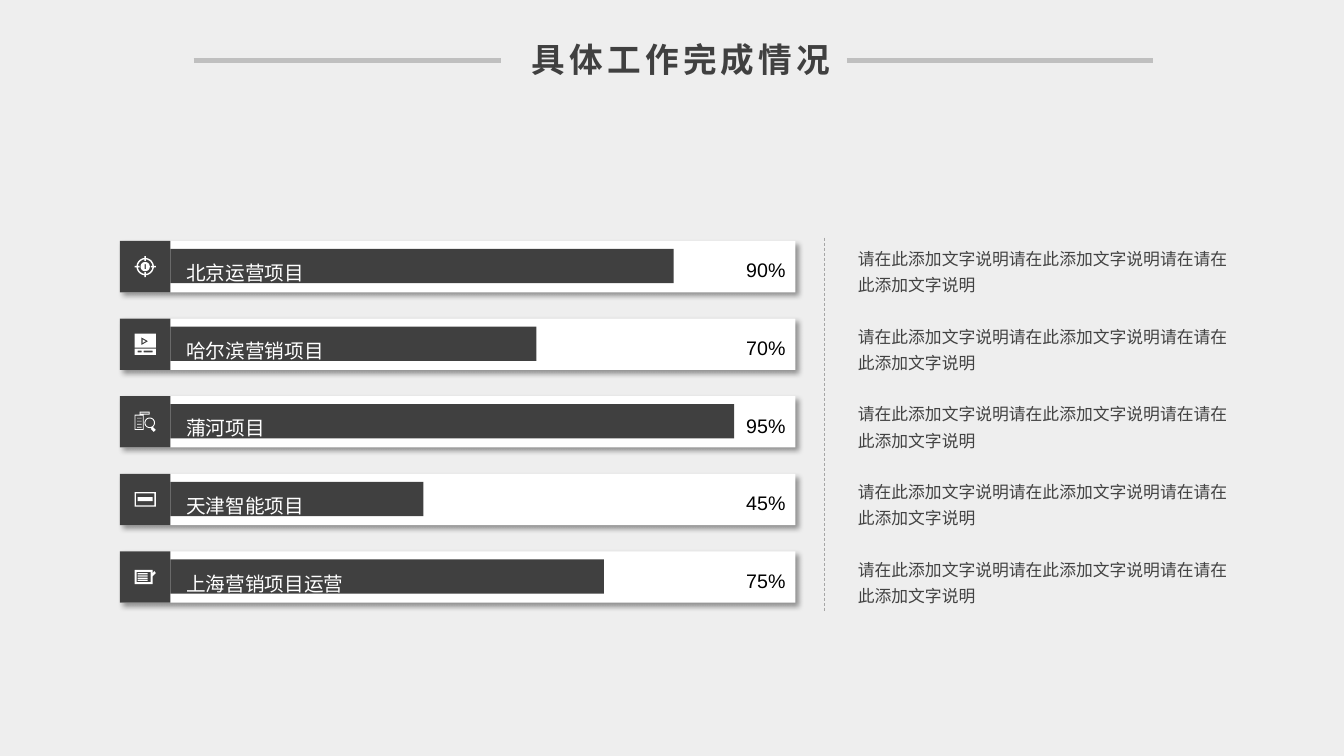
import math
import lxml.etree
import pptx
import pptx.dml.color
import pptx.enum.dml
import pptx.enum.shapes
import pptx.enum.text
import pptx.oxml.ns
import pptx.util

Inches, Pt = pptx.util.Inches, pptx.util.Pt
qn = pptx.oxml.ns.qn
ALIGN = pptx.enum.text.PP_ALIGN
ANCHOR = pptx.enum.text.MSO_ANCHOR

TITLE = "具体工作完成情况"
NOTE = "请在此添加文字说明请在此添加文字说明请在请在此添加文字说明"
# name, share done, bar length, icon
PROJECTS = [
    ("北京运营项目", "90%", 4.99, "target"),
    ("哈尔滨营销项目", "70%", 3.63, "video"),
    ("蒲河项目", "95%", 5.59, "search"),
    ("天津智能项目", "45%", 2.51, "card"),
    ("上海营销项目运营", "75%", 4.3, "memo"),
]
COLORS = {"back": "EEEEEE", "dark": "404040", "white": "FFFFFF", "black": "000000",
          "note": "424242", "rule": "BFBFBF", "divider": "A6A6A6"}
CJK = "Noto Sans CJK SC"
TRACK_X, TRACK_W, TRACK_H = 1.19, 6.7, 0.51
FIRST_Y, PITCH = 2.39, 0.77
TILE_W, BAR_H, BAR_DROP = 0.5, 0.34, 0.08
ICON_SIZE = 21  # hundredths of an inch
MID = ICON_SIZE / 2


def box(x, y, w, h):
    return [(x, y), (x + w, y), (x + w, y + h), (x, y + h)]


def frame(x, y, w, h, t):
    return [box(x, y, w, h), box(x + t, y + t, w - 2 * t, h - 2 * t)]


def polygon(x, y, radius, sides=36):
    turns = [2 * math.pi * i / sides for i in range(sides)]
    return [(x + radius * math.cos(t), y + radius * math.sin(t)) for t in turns]


def ticks(start, length):
    far = ICON_SIZE - start - length
    across = [box(x, MID - 0.7, length, 1.4) for x in (start, far)]
    return across + [[(y, x) for x, y in outline] for outline in across]


# Icon outlines in hundredths of an inch; inner outlines cut holes
ICONS = {
    "target": [polygon(MID, MID, r) for r in (8.6, 7.2, 4.6)]
    + [box(MID - 0.6, 8, 1.2, 5)] + ticks(0, 1.9) + ticks(3.3, 1.6),
    "video": [box(0, 0, 21, 14), polygon(9, 7.5, 4.5, 3), polygon(9, 7.5, 2, 3),
              box(0, 15, 21, 6), box(3, 17, 4, 1.6), box(9, 17, 9, 1.6)],
    "search": frame(0, 3, 9, 15, 0.8) + frame(5, 0, 10, 2.8, 0.8)
    + [polygon(15, 11, r) for r in (5.2, 4.3)]
    + [[(16, 17), (18, 15), (21, 18), (19, 20)]]
    + [box(2.5, 6 + 3 * i, 4.5, 0.7) for i in range(4)],
    "card": frame(0, 0, 21, 14.5, 1.3) + [box(3, 5, 15, 4)],
    "memo": frame(0, 0, 18, 14, 2) + [box(3, 3 + 1.7 * i, 10, 0.9) for i in range(5)]
    + [[(18.2, 3), (19.5, 1), (21, 3), (18.2, 6)]],
}


def rgb(name):
    return pptx.dml.color.RGBColor.from_string(COLORS[name])


def paint(sp, color):
    sp.shadow.inherit = False
    sp.fill.solid()
    sp.fill.fore_color.rgb = rgb(color)
    sp.line.fill.background()
    return sp


def rect(s, x, y, w, h, color):
    sp = s.shapes.add_shape(pptx.enum.shapes.MSO_SHAPE.RECTANGLE,
                            Inches(x), Inches(y), Inches(w), Inches(h))
    return paint(sp, color)


def drop_shadow(sp):
    effects = sp._element.spPr.find(qn("a:effectLst"))
    outer = lxml.etree.SubElement(effects, qn("a:outerShdw"), blurRad=str(Pt(4)),
                                  dist=str(Pt(3)), dir="2700000", algn="tl", rotWithShape="0")
    tint = lxml.etree.SubElement(outer, qn("a:srgbClr"), val=COLORS["black"])
    lxml.etree.SubElement(tint, qn("a:alpha"), val="40000")


def write(sp, text, size, color, font="Arial", bold=False, align=ALIGN.LEFT,
          anchor=ANCHOR.TOP, spacing=None, tracking=None):
    tf = sp.text_frame
    tf.word_wrap = True
    tf.vertical_anchor = anchor
    p = tf.paragraphs[0]
    p.alignment = align
    if spacing:
        p.line_spacing = spacing
    r = p.add_run()
    r.text = text
    r.font.size, r.font.bold, r.font.name = Pt(size), bold, font
    r.font.color.rgb = rgb(color)
    props = r._r.get_or_add_rPr()
    lxml.etree.SubElement(props, qn("a:ea"), typeface=CJK)
    if tracking:
        props.set("spc", str(tracking * 100))


def text_box(s, x, y, w, h, text, size, color, **style):
    sp = s.shapes.add_textbox(Inches(x), Inches(y), Inches(w), Inches(h))
    write(sp, text, size, color, **style)
    sp.text_frame.auto_size = pptx.enum.text.MSO_AUTO_SIZE.SHAPE_TO_FIT_TEXT


def line(s, x1, y1, x2, y2, color, width, dash=None):
    sp = s.shapes.add_connector(pptx.enum.shapes.MSO_CONNECTOR.STRAIGHT,
                                Inches(x1), Inches(y1), Inches(x2), Inches(y2))
    sp.line.color.rgb = rgb(color)
    sp.line.width = Pt(width)
    if dash:
        sp.line.dash_style = dash
    lxml.etree.SubElement(sp._element.spPr, qn("a:effectLst"))


def icon(s, x, y, outlines):
    # Centred in its tile; ten builder units per hundredth of an inch
    fine = [[(px * 10, py * 10) for px, py in outline] for outline in outlines]
    builder = s.shapes.build_freeform(*fine[0][0], scale=Inches(1) / 1000)
    for i, outline in enumerate(fine):
        if i:
            builder.move_to(*outline[0])
        builder.add_line_segments(outline[1:], close=True)
    sp = paint(builder.convert_to_shape(), "white")
    sp.left = Inches(x + TILE_W / 2) - sp.width // 2
    sp.top = Inches(y + TRACK_H / 2) - sp.height // 2


def main():
    prs = pptx.Presentation()
    prs.slide_width, prs.slide_height = Inches(13.33), Inches(7.5)
    s = prs.slides.add_slide(prs.slide_layouts[6])
    s.background.fill.solid()
    s.background.fill.fore_color.rgb = rgb("back")

    # Progress rows with their notes
    for i, (name, share, length, icon_name) in enumerate(PROJECTS):
        y = FIRST_Y + i * PITCH
        track = rect(s, TRACK_X, y, TRACK_W, TRACK_H, "white")
        drop_shadow(track)
        write(track, share, 14, "black", align=ALIGN.RIGHT, anchor=ANCHOR.MIDDLE, spacing=1.3)
        rect(s, TRACK_X, y, TILE_W, TRACK_H, "dark")
        rect(s, TRACK_X + TILE_W, y + BAR_DROP, length, BAR_H, "dark")
        icon(s, TRACK_X, y, ICONS[icon_name])
        text_box(s, 1.75, y + BAR_DROP, 2.33, 0.38, name, 14, "white", spacing=1.3)
        text_box(s, 8.41, y - 0.03, 3.88, 0.6, NOTE, 12, "note", font=CJK, spacing=1.3)

    # Divider between bars and notes
    line(s, 8.18, 2.36, 8.18, 6.06, "divider", 0.5, pptx.enum.dml.MSO_LINE.DASH)

    # Title between two rules
    for x1, x2 in ((1.92, 4.97), (8.4, 11.44)):
        line(s, x1, 0.6, x2, 0.6, "rule", 3)
    text_box(s, 5.02, 0.34, 3.47, 0.5, TITLE, 24, "dark", font=CJK, bold=True,
             align=ALIGN.CENTER, tracking=3)

    prs.save("out.pptx")


if __name__ == "__main__":
    main()
